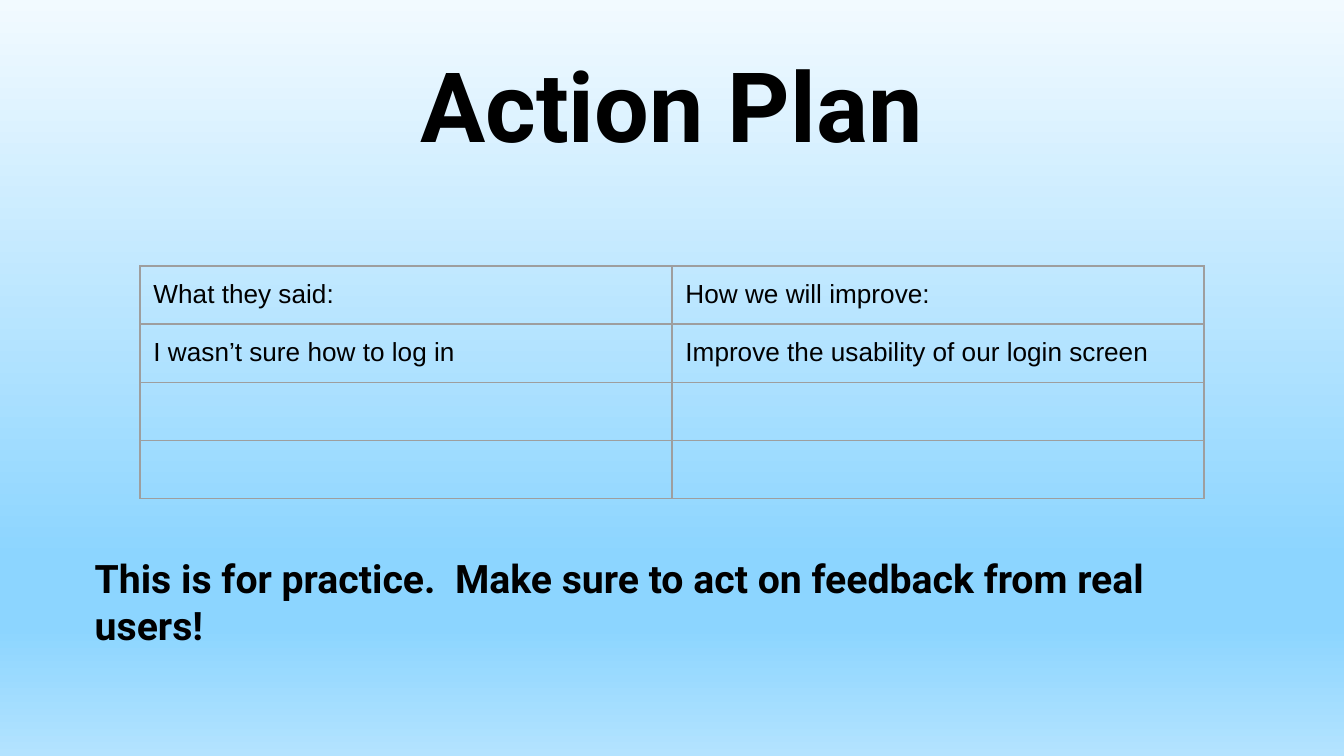
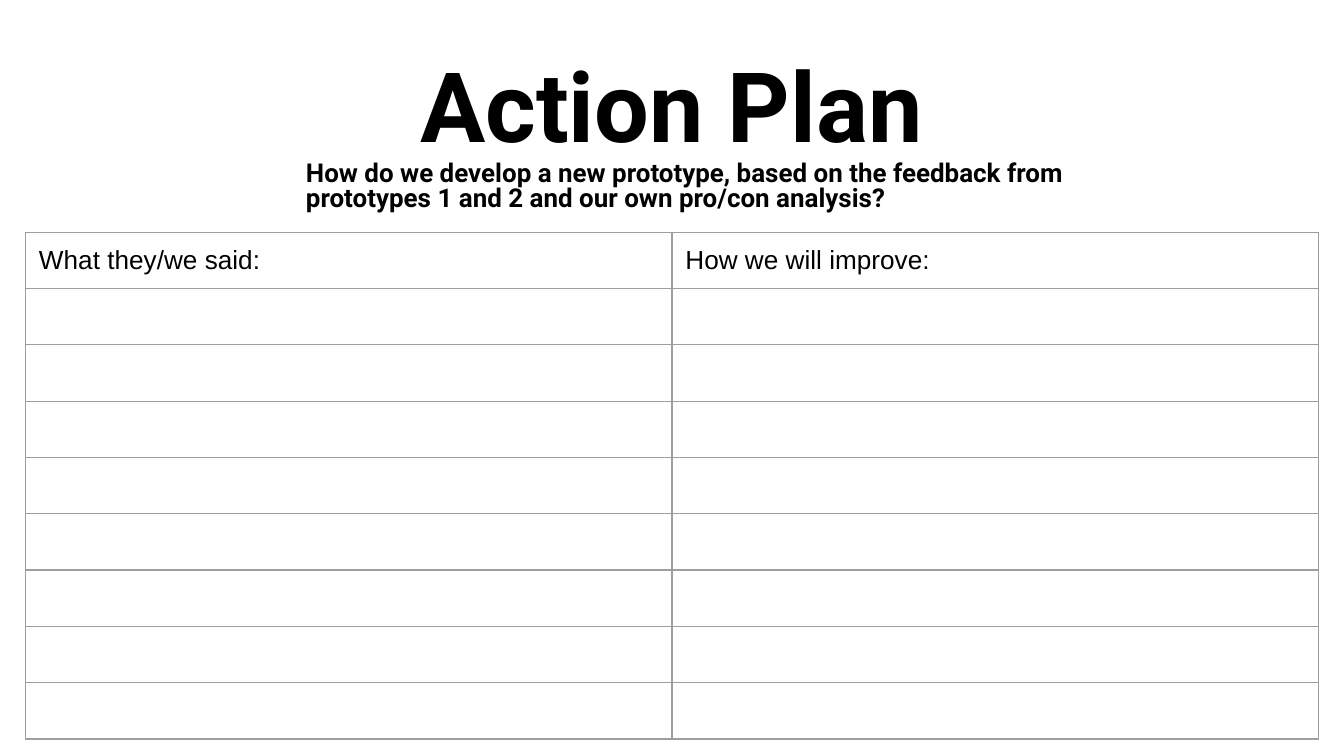
from lxml import etree
from pptx import Presentation
from pptx.dml.color import RGBColor
from pptx.enum.text import MSO_ANCHOR, MSO_AUTO_SIZE, PP_ALIGN
from pptx.oxml.ns import qn
from pptx.util import Pt

MIDDLE = MSO_ANCHOR.MIDDLE
NO_FIT = MSO_AUTO_SIZE.NONE
LEFT, CENTER = PP_ALIGN.LEFT, PP_ALIGN.CENTER

COLORS = {"text": "000000", "border": "9E9E9E", "page": "FFFFFF"}
SKY = [(0, "B3E3FF"), (17, "8CD5FF"), (26, "8CD5FF"), (100, "F2FAFF")]
HEAD_FONT, CELL_FONT = "Roboto", "Arial"
CELL_SIZE = 14

SLIDES = [
    {
        "sky": True,
        "note": "This is for practice.  Make sure to act on feedback from real users!",
        "note_box": (47.7, 275.4, 619.2, 93.6),
        "note_size": 21,
        "spacing": 1.0,
        "table": (75, 142.5, 570),
        "row_height": 31.15,
        "rows": [
            ("What they said:", "How we will improve:"),
            ("I wasn’t sure how to log in", "Improve the usability of our login screen"),
            ("", ""),
            ("", ""),
        ],
    },
    {
        "sky": False,
        "note": "How do we develop a new prototype, based on the feedback from "
                "prototypes 1 and 2 and our own pro/con analysis?",
        "note_box": (160.9, 83, 421.9, 34.6),
        "note_size": 13.9,
        "spacing": 0.8,
        "table": (13.7, 124.4, 692.6),
        "row_height": 30,
        "rows": [("What they/we said:", "How we will improve:")] + [("", "")] * 8,
    },
]


def fill_placeholder(sp, box, text, size, align, spacing=1.0):
    sp.left, sp.top, sp.width, sp.height = [Pt(v) for v in box]
    tf = sp.text_frame
    tf.word_wrap = True
    tf.auto_size = NO_FIT
    tf.vertical_anchor = MIDDLE
    tf.margin_left = tf.margin_right = tf.margin_top = tf.margin_bottom = Pt(3)
    p = tf.paragraphs[0]
    pPr = p._p.get_or_add_pPr()
    pPr.set("marL", "0")
    pPr.set("indent", "0")
    etree.SubElement(pPr, qn("a:buNone"))
    p.alignment = align
    p.line_spacing = spacing
    p.space_before = Pt(0)
    r = p.add_run()
    r.text = text
    r.font.name = HEAD_FONT
    r.font.size = Pt(size)
    r.font.bold = True
    r.font.color.rgb = RGBColor.from_string(COLORS["text"])


def format_cell(cell, text):
    cell.margin_left = cell.margin_right = Pt(7.2)
    cell.margin_top = cell.margin_bottom = Pt(7.2)
    cell.fill.background()
    p = cell.text_frame.paragraphs[0]
    if text:
        r = p.add_run()
        r.text = text
        r.font.name = CELL_FONT
        r.font.size = Pt(CELL_SIZE)
        r.font.color.rgb = RGBColor.from_string(COLORS["text"])
    else:
        # An empty cell keeps the text font and size, so all rows are equal
        end = etree.SubElement(p._p, qn("a:endParaRPr"), sz=str(CELL_SIZE * 100))
        etree.SubElement(end, qn("a:latin"), typeface=CELL_FONT)
    # Borders come before the fill
    tcPr = cell._tc.get_or_add_tcPr()
    for i, side in enumerate(("a:lnL", "a:lnR", "a:lnT", "a:lnB")):
        ln = etree.Element(qn(side), w=str(Pt(0.75)))
        solid = etree.SubElement(ln, qn("a:solidFill"))
        etree.SubElement(solid, qn("a:srgbClr"), val=COLORS["border"])
        tcPr.insert(i, ln)


prs = Presentation()
prs.slide_width, prs.slide_height = Pt(720), Pt(405)

for plan in SLIDES:
    s = prs.slides.add_slide(prs.slide_layouts[1])

    # Background
    fill = s.background.fill
    if plan["sky"]:
        fill.gradient()
        fill.gradient_angle = 90
        gs_list = s.background._cSld.find(".//" + qn("a:gsLst"))
        for gs in list(gs_list):
            gs_list.remove(gs)
        for pos, color in SKY:
            gs = etree.SubElement(gs_list, qn("a:gs"), pos=str(pos * 1000))
            etree.SubElement(gs, qn("a:srgbClr"), val=color)
    else:
        fill.solid()
        fill.fore_color.rgb = RGBColor.from_string(COLORS["page"])

    # Title and note
    fill_placeholder(s.shapes.title, (52.6, 10.8, 614.2, 90), "Action Plan", 52, CENTER)
    fill_placeholder(s.placeholders[1], plan["note_box"], plan["note"],
                     plan["note_size"], LEFT, plan["spacing"])

    # Feedback table
    rows = plan["rows"]
    left, top, width = plan["table"]
    height = plan["row_height"] * len(rows)
    table = s.shapes.add_table(len(rows), 2, Pt(left), Pt(top), Pt(width), Pt(height)).table
    table.first_row = table.horz_banding = False
    for i, texts in enumerate(rows):
        for j, text in enumerate(texts):
            format_cell(table.cell(i, j), text)

prs.save("out.pptx")
